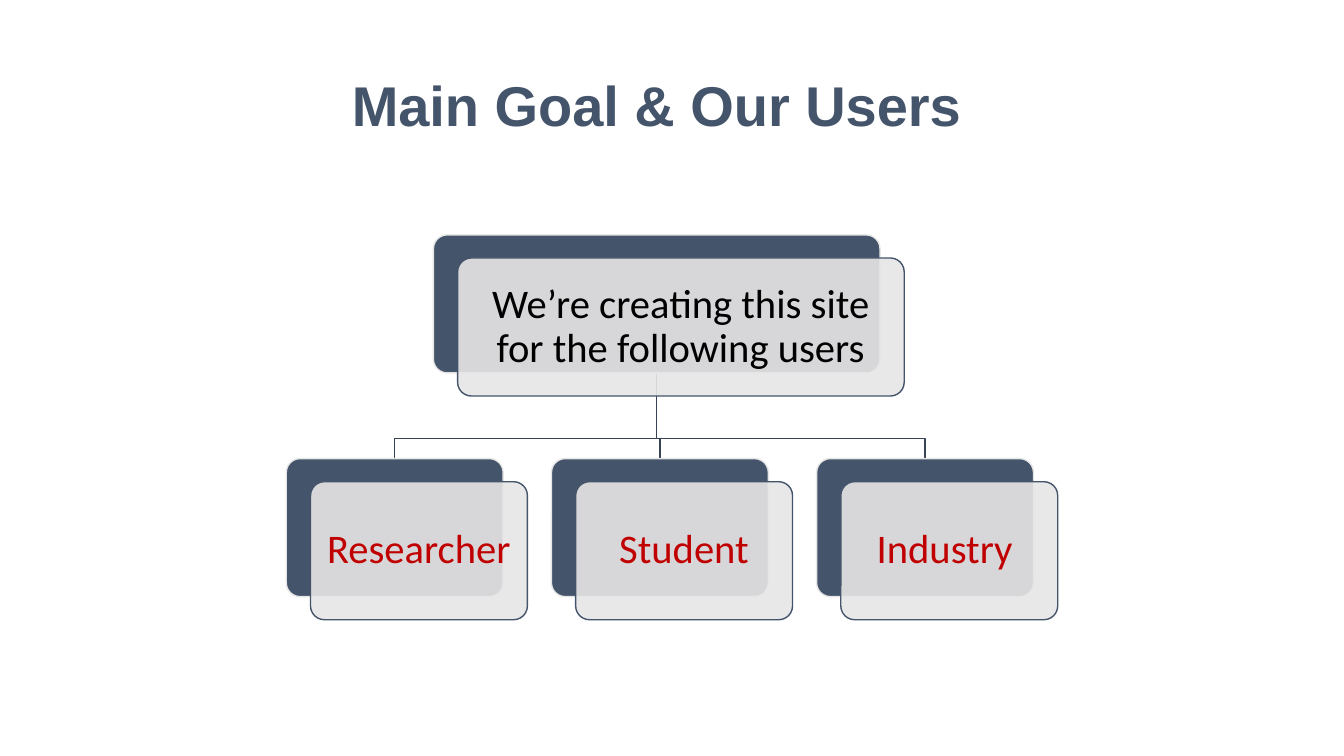
from lxml import etree
from pptx import Presentation
from pptx.dml.color import RGBColor
from pptx.enum.shapes import MSO_SHAPE
from pptx.enum.text import MSO_ANCHOR, MSO_AUTO_SIZE, PP_ALIGN
from pptx.oxml.ns import qn
from pptx.util import Pt

ROUNDED = MSO_SHAPE.ROUNDED_RECTANGLE
MIDDLE = MSO_ANCHOR.MIDDLE
CENTER = PP_ALIGN.CENTER
NO_AUTOFIT = MSO_AUTO_SIZE.NONE

SLATE = RGBColor(0x44, 0x54, 0x6A)
DARK_SLATE = RGBColor(0x36, 0x43, 0x55)
LIGHT_GRAY = RGBColor(0xE7, 0xE6, 0xE6)
BLACK = RGBColor(0, 0, 0)
RED = RGBColor(0xC0, 0, 0)

CARD_HEIGHT = 98.6
CARD_OFFSET_X, CARD_OFFSET_Y = 17.3, 16.5
GOAL_LEFT, GOAL_TOP, GOAL_WIDTH = 309.6, 167.8, 319
USER_LEFT, USER_TOP, USER_WIDTH, USER_STEP = 204.5, 327.6, 154.9, 189.4
BRANCH_Y = 313.2


def format_text(shape, text, font_name, size, color, bold=False, side=8, extra_right=0):
    frame = shape.text_frame
    frame.text = text
    frame.word_wrap = True
    frame.auto_size = NO_AUTOFIT
    frame.vertical_anchor = MIDDLE
    frame.margin_left = Pt(side)
    frame.margin_right = Pt(side + extra_right)
    paragraph = frame.paragraphs[0]
    paragraph.alignment = CENTER
    paragraph.line_spacing = 0.9
    paragraph.font.name = font_name
    paragraph.font.size = Pt(size)
    paragraph.font.bold = bold
    paragraph.font.color.rgb = color


def add_panel(left, top, width, fill, line):
    panel = slide.shapes.add_shape(ROUNDED, Pt(left), Pt(top), Pt(width), Pt(CARD_HEIGHT))
    panel.adjustments[0] = 0.1
    panel.shadow.inherit = False
    panel.fill.solid()
    panel.fill.fore_color.rgb = fill
    panel.line.color.rgb = line
    panel.line.width = Pt(1)
    return panel


presentation = Presentation()
presentation.slide_width = Pt(960)
presentation.slide_height = Pt(540)
slide = presentation.slides.add_slide(presentation.slide_layouts[5])

title = slide.shapes.title
title.left, title.top, title.width, title.height = Pt(92.9), Pt(25.2), Pt(774), Pt(104.4)
format_text(title, "Main Goal & Our Users", "Arial", 40, SLATE, bold=True, side=7.2, extra_right=22)

users = [("Researcher", 0), ("Student", 0), ("Industry", 6.5)]
user_lefts = [USER_LEFT + index * USER_STEP for index in range(len(users))]

goal_center = GOAL_LEFT + GOAL_WIDTH / 2
for user_left in reversed(user_lefts):
    user_center = user_left + USER_WIDTH / 2
    builder = slide.shapes.build_freeform(Pt(goal_center), Pt(GOAL_TOP + CARD_HEIGHT))
    builder.add_line_segments(
        [
            (Pt(goal_center), Pt(BRANCH_Y)),
            (Pt(user_center), Pt(BRANCH_Y)),
            (Pt(user_center), Pt(USER_TOP)),
        ],
        close=False,
    )
    branch = builder.convert_to_shape()
    branch.shadow.inherit = False
    branch.fill.background()
    branch.line.color.rgb = DARK_SLATE
    branch.line.width = Pt(1)

cards = [("We’re creating this site for the following users", GOAL_LEFT, GOAL_TOP, GOAL_WIDTH, BLACK, 0)]
for (user, extra_right), user_left in zip(users, user_lefts):
    cards.append((user, user_left, USER_TOP, USER_WIDTH, RED, extra_right))

for text, left, top, width, color, extra_right in cards:
    add_panel(left, top, width, SLATE, LIGHT_GRAY)
    front = add_panel(left + CARD_OFFSET_X, top + CARD_OFFSET_Y, width, LIGHT_GRAY, SLATE)
    fill_color = front.fill._xPr.find(qn("a:solidFill"))[0]
    etree.SubElement(fill_color, qn("a:alpha"), val="90000")
    format_text(front, text, "Calibri", 29, color, extra_right=extra_right)

presentation.save("out.pptx")
